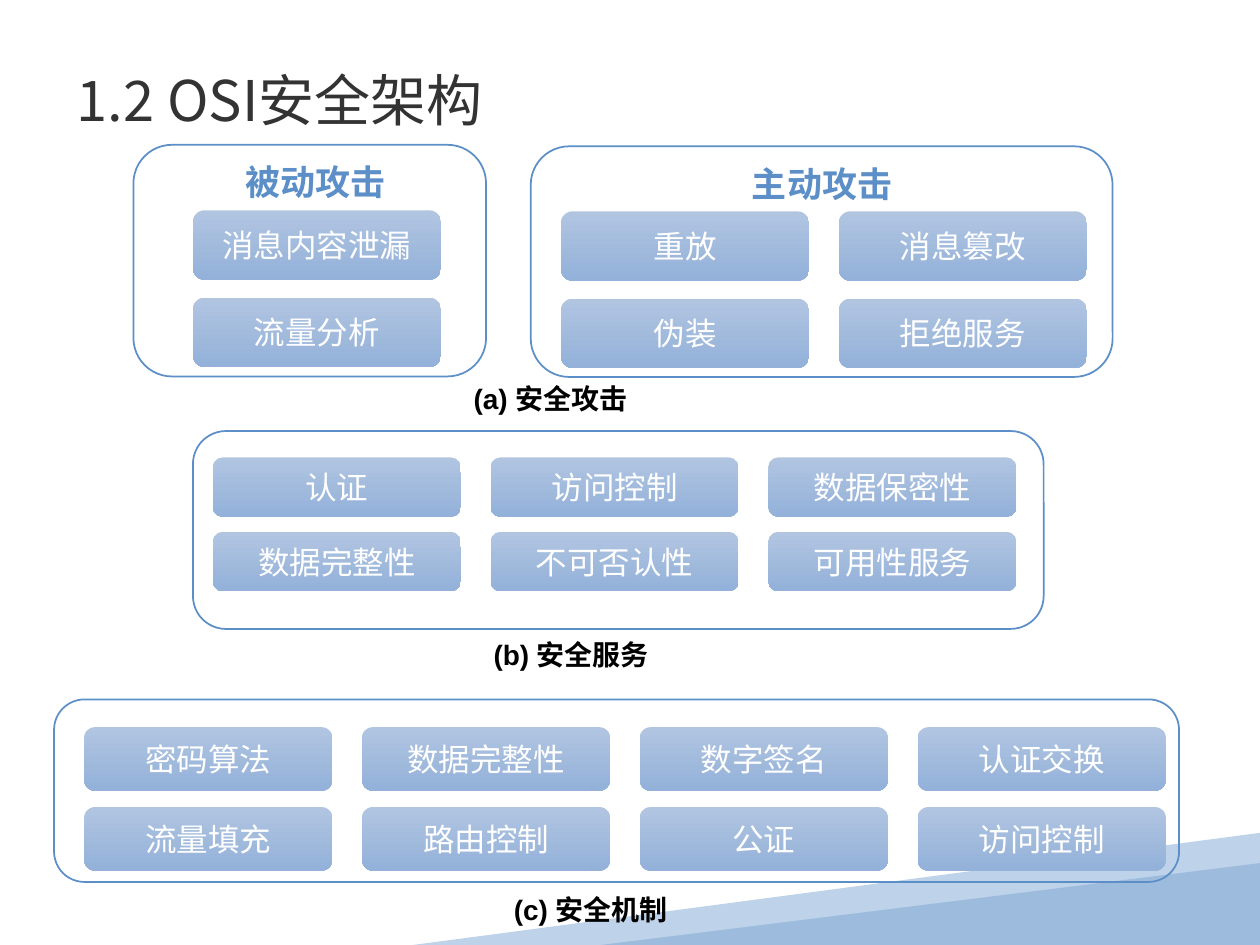
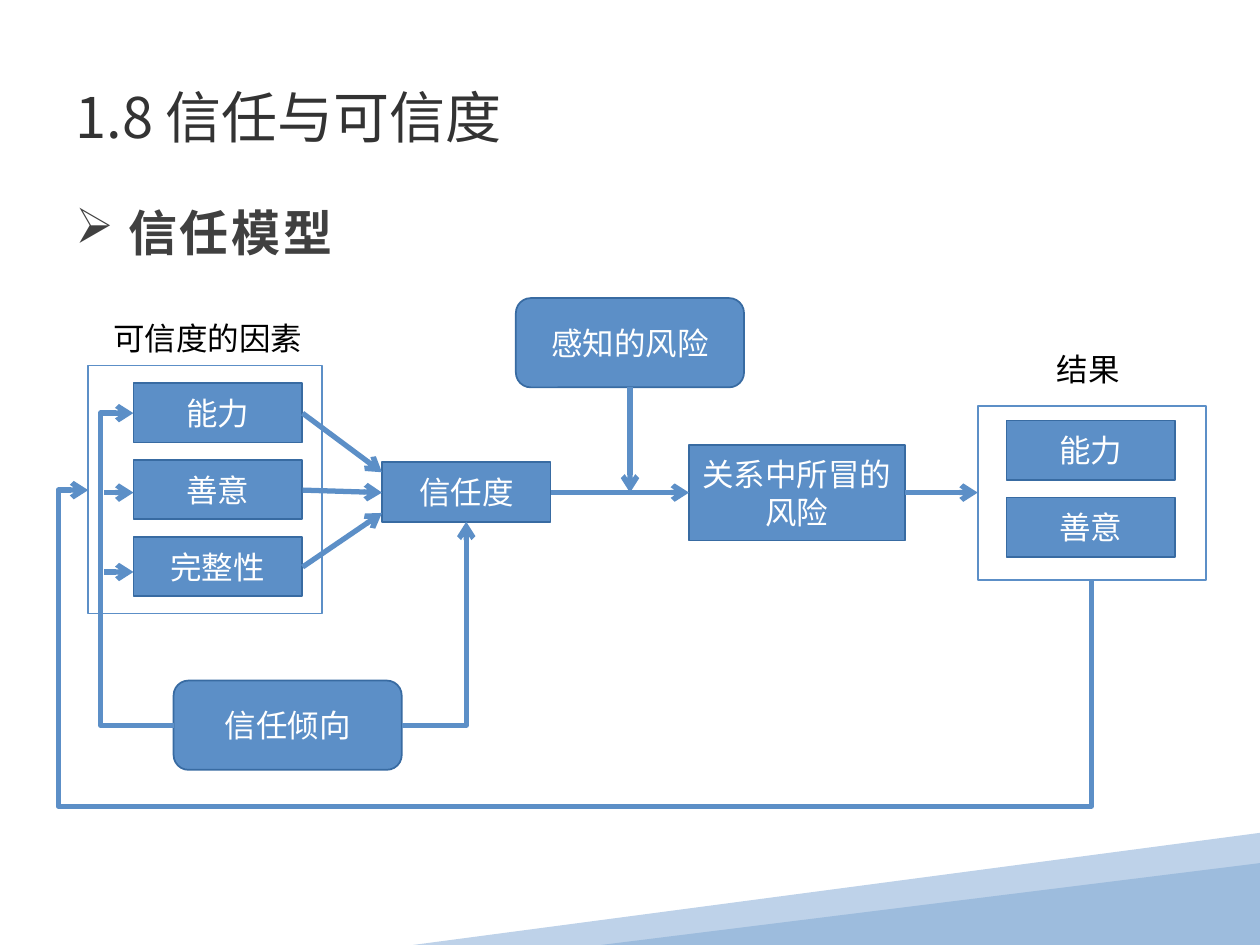
"""Build two slides: the OSI security architecture and the trust model."""
from lxml.etree import SubElement
from pptx import Presentation
from pptx.dml.color import RGBColor
from pptx.enum.shapes import MSO_CONNECTOR, MSO_SHAPE
from pptx.enum.text import MSO_ANCHOR, PP_ALIGN
from pptx.oxml.ns import qn
from pptx.util import Cm, Pt

BLUE = RGBColor(0x5C, 0x8F, 0xC7)
DARK_BLUE = RGBColor(0x38, 0x6B, 0xA2)
TILE_TOP = RGBColor(0xB1, 0xC5, 0xE1)
TILE_BOTTOM = RGBColor(0x93, 0xB1, 0xD9)
LIGHT_WEDGE = RGBColor(0xBE, 0xD2, 0xE9)
DARK_WEDGE = RGBColor(0x9D, 0xBC, 0xDD)
TITLE_GREY = RGBColor(0x33, 0x33, 0x33)
BODY_GREY = RGBColor(0x40, 0x40, 0x40)
BLACK = RGBColor(0, 0, 0)
WHITE = RGBColor(0xFF, 0xFF, 0xFF)
CJK_FONT = "Noto Sans CJK SC"
TEXT_FONT = "Arial"

SLIDE_WIDTH, SLIDE_HEIGHT = 25.4, 19.05
WEDGE_OUTLINE = [(25.4, 16.79), (25.4, 18.9), (17.09, 19.05), (8.33, 19.05)]
TILE_WIDTH, TILE_GAP = 5, 0.6

ARCHITECTURE_TITLE = ("1.2 OSI安全架构", (1.3, 0.41, 22.86, 3.18))
PANELS = [
    {"frame": (2.69, 2.92, 7.11, 4.67), "heading": ("被动攻击", (4.7, 3.12)),
     "origin": (3.89, 4.24), "tile_height": 1.4, "row_gap": 0.36,
     "rows": [["消息内容泄漏"], ["流量分析"]]},
    {"frame": (10.7, 2.95, 11.73, 4.65), "heading": ("主动攻击", (14.91, 3.15)),
     "origin": (11.31, 4.26), "tile_height": 1.4, "row_gap": 0.36,
     "rows": [["重放", "消息篡改"], ["伪装", "拒绝服务"]]},
    {"frame": (3.89, 8.69, 17.15, 3.99),
     "origin": (4.29, 9.22), "tile_height": 1.2, "row_gap": 0.3,
     "rows": [["认证", "访问控制", "数据保密性"],
              ["数据完整性", "不可否认性", "可用性服务"]]},
    {"frame": (1.09, 14.1, 22.68, 3.68),
     "origin": (1.7, 14.66), "tile_height": 1.28, "row_gap": 0.33,
     "rows": [["密码算法", "数据完整性", "数字签名", "认证交换"],
              ["流量填充", "路由控制", "公证", "访问控制"]]},
]
CAPTIONS = [("(a) 安全攻击", (9.3, 7.57)), ("(b) 安全服务", (9.7, 12.73)),
            ("(c) 安全机制", (10.11, 17.86))]

TRUST_TITLE = ("1.8 信任与可信度", (1.27, 0.76, 22.86, 3.18))
TRUST_TOPIC = ("信任模型", (1.24, 3.73, 22.86, 12.57))
TRUST_FRAMES = [(1.78, 7.37, 4.72, 5), (19.71, 8.18, 4.6, 3.51)]
FACTOR_SIZE, FACTOR_PITCH = (3.4, 1.2), 1.55
FACTOR_STACKS = [((2.69, 7.72), ["能力", "善意", "完整性"]),
                 ((20.29, 8.48), ["能力", "善意"])]
TRUST_STEPS = [
    ("信任倾向", MSO_SHAPE.ROUNDED_RECTANGLE, (3.5, 13.72, 4.6, 1.8)),
    ("信任度", MSO_SHAPE.RECTANGLE, (7.7, 9.32, 3.4, 1.2)),
    ("感知的风险", MSO_SHAPE.ROUNDED_RECTANGLE, (10.4, 6.01, 4.6, 1.8)),
    ("关系中所冒的风险", MSO_SHAPE.RECTANGLE, (13.89, 8.97, 4.35, 1.93)),
]
TRUST_LABELS = [("可信度的因素", (2.03, 6.3), PP_ALIGN.LEFT),
                ("结果", (19.74, 6.93), PP_ALIGN.CENTER)]
STRAIGHT_ARROWS = [
    ((2.1, 9.93), (2.69, 9.93)), ((2.1, 11.53), (2.69, 11.53)),
    ((6.1, 8.33), (7.7, 9.52)), ((6.1, 9.88), (7.7, 9.93)),
    ((6.1, 11.43), (7.7, 10.34)), ((11.1, 9.93), (13.89, 9.93)),
    ((12.7, 7.81), (12.7, 9.93)), ((18.24, 9.93), (19.71, 9.93)),
]
BENT_ARROWS = [((3.5, 14.62), (2.69, 8.33), "bentConnector3", [1.82]),
               ((8.1, 14.62), (9.4, 10.52), "bentConnector2", [])]
FEEDBACK_START, FEEDBACK_END = (22, 11.69), (1.78, 9.88)
FEEDBACK_BENDS = [-2.52, 1.03]


def write(shape, text, size, color, font=TEXT_FONT, bold=False,
          align=PP_ALIGN.LEFT, anchor=MSO_ANCHOR.TOP):
    frame = shape.text_frame
    frame.word_wrap = True
    frame.vertical_anchor = anchor
    paragraph = frame.paragraphs[0]
    paragraph.text = text
    paragraph.alignment = align
    paragraph.font.size = Pt(size)
    paragraph.font.bold = bold
    paragraph.font.color.rgb = color
    paragraph.font.name = font
    defaults = paragraph._p.get_or_add_pPr().get_or_add_defRPr()
    SubElement(defaults, qn("a:ea")).set("typeface", CJK_FONT)
    return paragraph


def add_text(slide, text, box, size, color, **style):
    return write(slide.shapes.add_textbox(*map(Cm, box)), text, size, color, **style)


def add_box(slide, kind, box, fill=None, line=None):
    shape = slide.shapes.add_shape(kind, *map(Cm, box))
    shape.shadow.inherit = False
    if fill is None:
        shape.fill.background()
    else:
        shape.fill.solid()
        shape.fill.fore_color.rgb = fill
    if line is None:
        shape.line.fill.background()
    else:
        shape.line.color.rgb = line
        shape.line.width = Pt(1)
    return shape


def add_tile(slide, text, box):
    tile = add_box(slide, MSO_SHAPE.ROUNDED_RECTANGLE, box)
    tile.fill.gradient()
    tile.fill.gradient_angle = 270
    for stop, color in zip(tile.fill.gradient_stops, (TILE_TOP, TILE_BOTTOM)):
        stop.color.rgb = color
    write(tile, text, 18, WHITE, align=PP_ALIGN.CENTER, anchor=MSO_ANCHOR.MIDDLE)


def add_step(slide, text, kind, box):
    step = add_box(slide, kind, box, BLUE, DARK_BLUE)
    write(step, text, 18, WHITE, align=PP_ALIGN.CENTER, anchor=MSO_ANCHOR.MIDDLE)


def add_arrow(slide, start, end, preset="line", bends=()):
    arrow = slide.shapes.add_connector(
        MSO_CONNECTOR.STRAIGHT, *map(Cm, (*start, *end)))
    arrow.line.color.rgb = BLUE
    arrow.line.width = Pt(3)
    properties = arrow._element.spPr
    SubElement(properties.find(qn("a:ln")), qn("a:tailEnd")).set("type", "arrow")
    SubElement(properties, qn("a:effectLst"))
    geometry = properties.find(qn("a:prstGeom"))
    geometry.set("prst", preset)
    for number, bend in enumerate(bends, 1):
        guide = SubElement(geometry.find(qn("a:avLst")), qn("a:gd"))
        guide.set("name", f"adj{number}")
        guide.set("fmla", f"val {round(bend * 100000)}")
    return arrow


def add_feedback_arrow(slide):
    """Draw the loop in its unrotated frame, then turn it by 90 degrees."""
    (x1, y1), (x2, y2) = FEEDBACK_START, FEEDBACK_END
    center_x, center_y = (x1 + x2) / 2, (y1 + y2) / 2
    half_width, half_height = (y1 - y2) / 2, (x1 - x2) / 2
    arrow = add_arrow(slide, (center_x + half_width, center_y - half_height),
                      (center_x - half_width, center_y + half_height),
                      "bentConnector4", FEEDBACK_BENDS)
    arrow._element.spPr.find(qn("a:xfrm")).set("rot", "5400000")


def add_base_slide(deck, title):
    slide = deck.slides.add_slide(deck.slide_layouts[6])
    outline = [(Cm(x), Cm(y)) for x, y in WEDGE_OUTLINE]
    builder = slide.shapes.build_freeform(*outline[0])
    builder.add_line_segments(outline[1:])
    light = builder.convert_to_shape()
    light.shadow.inherit = False
    light.fill.solid()
    light.fill.fore_color.rgb = LIGHT_WEDGE
    light.line.fill.background()
    dark = add_box(slide, MSO_SHAPE.ISOSCELES_TRIANGLE,
                   (12.12, 17.4, 13.28, 1.65), DARK_WEDGE)
    dark.adjustments[0] = 1
    text, box = title
    add_text(slide, text, box, 32, TITLE_GREY, font=CJK_FONT, anchor=MSO_ANCHOR.MIDDLE)
    return slide


def build_architecture(deck):
    slide = add_base_slide(deck, ARCHITECTURE_TITLE)
    for panel in PANELS:
        add_box(slide, MSO_SHAPE.ROUNDED_RECTANGLE, panel["frame"], line=BLUE)
        if "heading" in panel:
            heading, place = panel["heading"]
            add_text(slide, heading, (*place, 3.73, 1.12), 20, BLUE, bold=True)
        left, top = panel["origin"]
        height = panel["tile_height"]
        for row, names in enumerate(panel["rows"]):
            for column, name in enumerate(names):
                add_tile(slide, name, (left + column * (TILE_WIDTH + TILE_GAP),
                                       top + row * (height + panel["row_gap"]),
                                       TILE_WIDTH, height))
    for caption, place in CAPTIONS:
        add_text(slide, caption, (*place, 3.96, 0.94), 16, BLACK, bold=True)


def add_topic(slide):
    text, box = TRUST_TOPIC
    topic_box = slide.shapes.add_textbox(*map(Cm, box))
    frame = topic_box.text_frame
    frame.margin_left, frame.margin_right = Cm(0.28), Cm(0.23)
    frame.margin_top = frame.margin_bottom = 0
    topic = frame.paragraphs[0]
    topic.line_spacing = 1.3
    topic.space_after = Pt(10)
    properties = topic._p.get_or_add_pPr()
    properties.set("marL", str(Cm(1.07)))
    properties.set("indent", str(-Cm(1.07)))
    SubElement(properties, qn("a:buChar")).set("char", "➢")
    write(topic_box, text, 28, BODY_GREY, font=CJK_FONT, bold=True)
    properties.get_or_add_defRPr().set("spc", "150")


def build_trust_model(deck):
    slide = add_base_slide(deck, TRUST_TITLE)
    add_topic(slide)
    for frame in TRUST_FRAMES:
        add_box(slide, MSO_SHAPE.RECTANGLE, frame, line=BLUE)
    for (left, top), factors in FACTOR_STACKS:
        for row, factor in enumerate(factors):
            add_step(slide, factor, MSO_SHAPE.RECTANGLE,
                     (left, top + row * FACTOR_PITCH, *FACTOR_SIZE))
    for step in TRUST_STEPS:
        add_step(slide, *step)
    add_feedback_arrow(slide)
    for arrow in STRAIGHT_ARROWS + BENT_ARROWS:
        add_arrow(slide, *arrow)
    for label, place, align in TRUST_LABELS:
        add_text(slide, label, (*place, 4.4, 1.02), 18, BLACK, align=align)


def main():
    deck = Presentation()
    deck.slide_width, deck.slide_height = Cm(SLIDE_WIDTH), Cm(SLIDE_HEIGHT)
    build_architecture(deck)
    build_trust_model(deck)
    deck.save("out.pptx")


if __name__ == "__main__":
    main()
